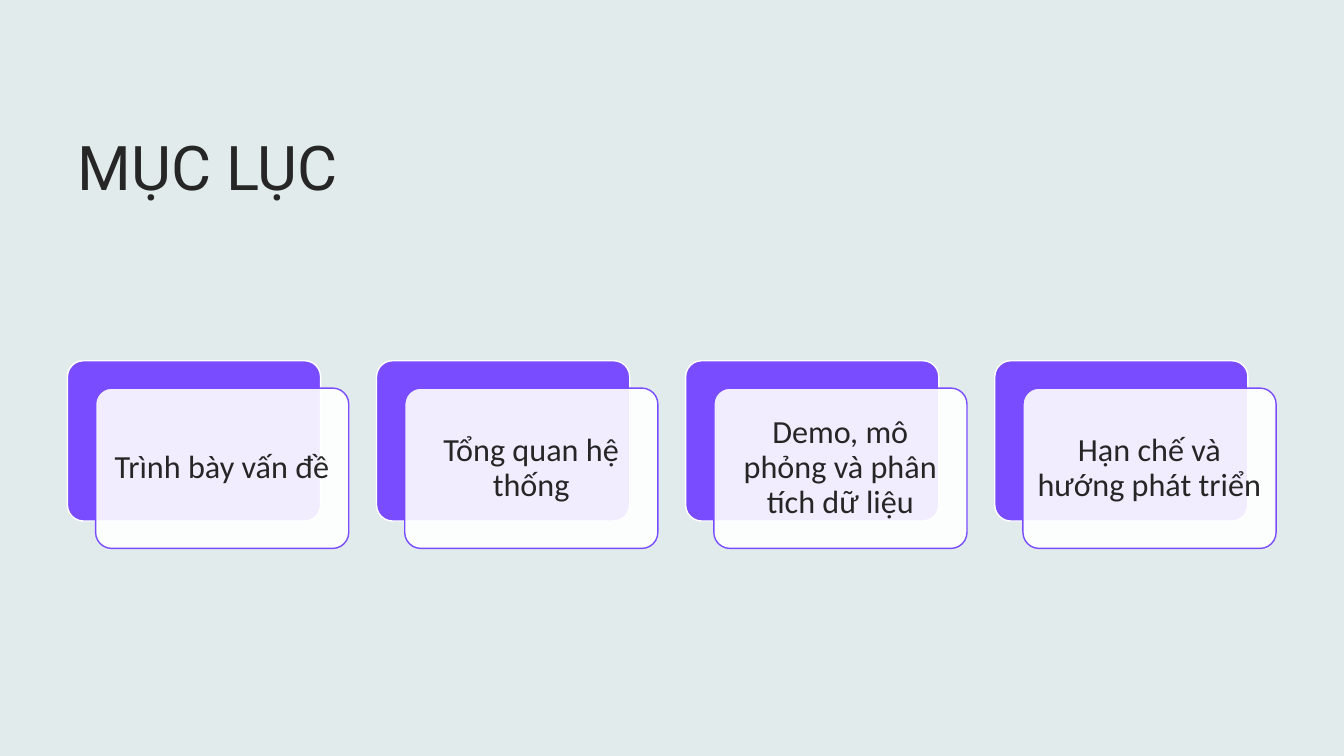
import pptx
import pptx.util
import pptx.dml.color
import pptx.enum.shapes
import pptx.enum.text
import pptx.oxml.ns
import lxml.etree
from dataclasses import dataclass

Cm = pptx.util.Cm
Pt = pptx.util.Pt
Kind = pptx.enum.shapes.MSO_SHAPE
Align = pptx.enum.text.PP_ALIGN
Anchor = pptx.enum.text.MSO_ANCHOR

TITLE = "MỤC LỤC"
TOPICS = [
    "Trình bày vấn đề",
    "Tổng quan hệ thống",
    "Demo, mô phỏng và phân tích dữ liệu",
    "Hạn chế và hướng phát triển",
]


@dataclass(frozen=True)
class Theme:
    back: str = "E9F3F3"
    tint: str = "AEAEAE"
    card: str = "FFFFFF"
    main: str = "794DFF"
    ink: str = "262626"
    head: str = "Roboto"
    body: str = "Calibri"
    big: int = 44
    mid: int = 23


THEME = Theme()

# Lengths in centimetres
WIDE, HIGH = 33.87, 19.05
LEFT, TOP = 1.7, 9.09
CARD_W, CARD_H = 6.38, 4.04
STEP = 7.79
SHIFT_X, SHIFT_Y = 0.71, 0.69


def color(code):
    return pptx.dml.color.RGBColor.from_string(code)


def add_box(slide, kind, area, fill, line=None, alpha=None):
    """Add a flat shape; alpha is its opacity in percent."""
    box = slide.shapes.add_shape(kind, *map(Cm, area))
    box.shadow.inherit = False
    box.fill.solid()
    box.fill.fore_color.rgb = color(fill)
    if alpha is not None:
        qn = pptx.oxml.ns.qn
        tone = box.element.spPr.find(qn("a:solidFill")).find(qn("a:srgbClr"))
        lxml.etree.SubElement(tone, qn("a:alpha"), val=str(alpha * 1000))
    if line:
        box.line.color.rgb = color(line)
        box.line.width = Pt(1)
    else:
        box.line.fill.background()
    if kind == Kind.ROUNDED_RECTANGLE:
        box.adjustments[0] = 0.1
    return box


def put_text(shape, text, *, font, size, align=Align.LEFT,
             anchor=Anchor.MIDDLE, inset=0.25, lead=1.0, after=0):
    frame = shape.text_frame
    frame.word_wrap = True
    frame.vertical_anchor = anchor
    frame.margin_left = frame.margin_right = Cm(inset)
    para = frame.paragraphs[0]
    para.alignment = align
    para.line_spacing = lead
    para.space_after = Pt(after)
    run = para.add_run()
    run.text = text
    run.font.name = font
    run.font.size = Pt(size)
    run.font.color.rgb = color(THEME.ink)


def add_card(slide, left, text):
    """Add a solid back plate and the clear card that overlaps it."""
    kind = Kind.ROUNDED_RECTANGLE
    add_box(slide, kind, (left, TOP, CARD_W, CARD_H), THEME.main, THEME.card)
    front = add_box(slide, kind,
                    (left + SHIFT_X, TOP + SHIFT_Y, CARD_W, CARD_H),
                    THEME.card, THEME.main, alpha=90)
    put_text(front, text, font=THEME.body, size=THEME.mid,
             align=Align.CENTER, inset=0.23, lead=0.9)


def main():
    deck = pptx.Presentation()
    deck.slide_width, deck.slide_height = Cm(WIDE), Cm(HIGH)
    slide = deck.slides.add_slide(deck.slide_layouts[6])
    slide.background.fill.solid()
    slide.background.fill.fore_color.rgb = color(THEME.back)
    add_box(slide, Kind.RECTANGLE, (0, 0, WIDE, HIGH), THEME.tint, alpha=10)

    title = slide.shapes.add_textbox(Cm(LEFT), Cm(1.55), Cm(30.48), Cm(3.68))
    put_text(title, TITLE, font=THEME.head, size=THEME.big,
             anchor=Anchor.BOTTOM, after=6)
    for spot, topic in enumerate(TOPICS):
        add_card(slide, LEFT + spot * STEP, topic)
    deck.save("out.pptx")


if __name__ == "__main__":
    main()
